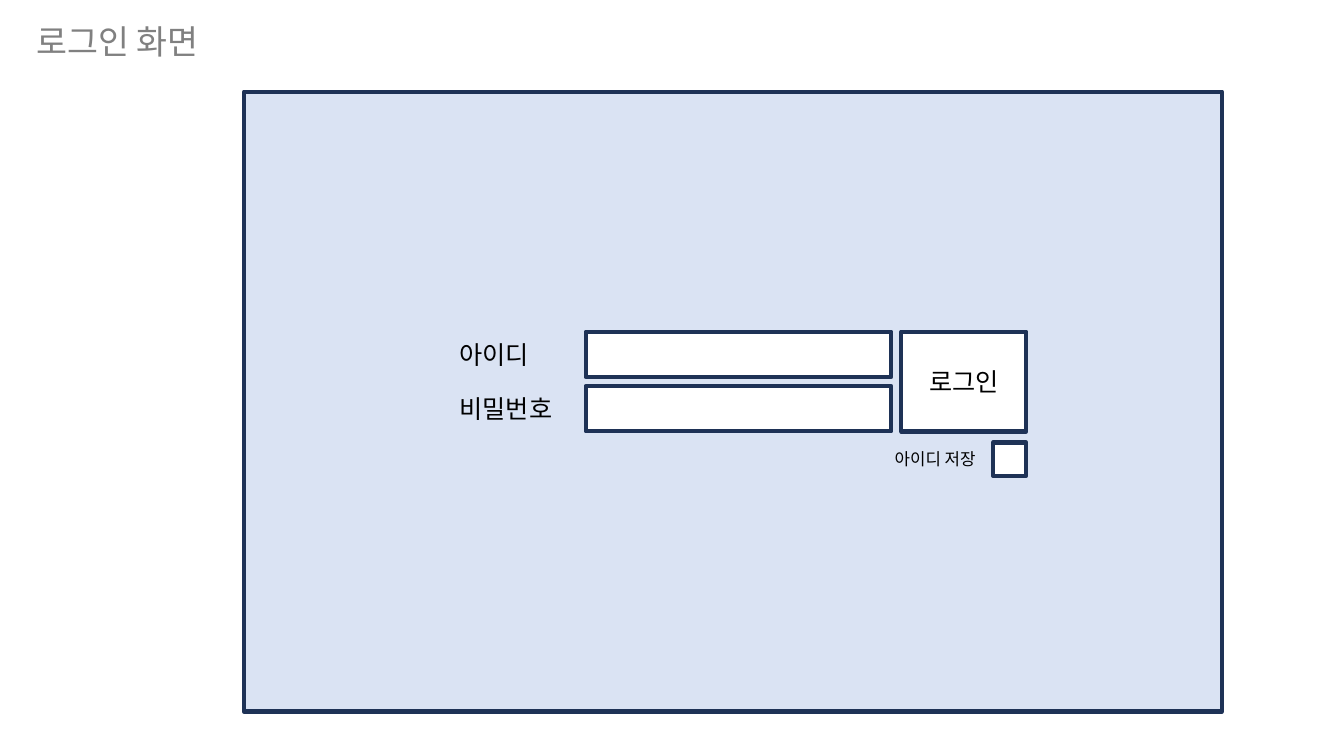
from lxml import etree
from pptx import Presentation
from pptx.dml.color import RGBColor
from pptx.enum.shapes import MSO_SHAPE
from pptx.enum.text import MSO_ANCHOR, MSO_AUTO_SIZE, PP_ALIGN
from pptx.oxml.ns import qn
from pptx.util import Emu, Pt

RECTANGLE = MSO_SHAPE.RECTANGLE
TOP, MIDDLE = MSO_ANCHOR.TOP, MSO_ANCHOR.MIDDLE
LEFT, CENTER = PP_ALIGN.LEFT, PP_ALIGN.CENTER
NO_AUTOFIT = MSO_AUTO_SIZE.NONE
TITLE_ONLY = 5

EMU_PER_PX = 9144
FONT = "Noto Sans CJK KR"
NAVY, PALE_BLUE, WHITE, BLACK, GRAY = "1E3256", "DAE3F3", "FFFFFF", "000000", "808080"

FORM_TOP = 329
ROW_HEIGHT = 45
ROW_STEP = 54
LABEL_LEFT, LABEL_WIDTH = 446, 124
FIELD_LEFT, FIELD_WIDTH = 581, 303
BUTTON_LEFT, BUTTON_WIDTH = 894, 124
CHECKBOX_SIZE = 33
CHECKBOX_TOP = 439
FIELD_LABELS = ["아이디", "비밀번호"]


def px(length):
    return Emu(length * EMU_PER_PX)


def color(hex_string):
    return RGBColor.from_string(hex_string)


def write_text(shape, text, size, text_color=BLACK, alignment=LEFT, anchor=MIDDLE):
    text_frame = shape.text_frame
    text_frame.text = text
    text_frame.word_wrap = True
    text_frame.auto_size = NO_AUTOFIT
    text_frame.vertical_anchor = anchor
    paragraph = text_frame.paragraphs[0]
    paragraph.alignment = alignment
    for run in paragraph.runs:
        run.font.name = FONT
        run.font.size = Pt(size)
        run.font.color.rgb = color(text_color)
        east_asian = etree.SubElement(run.font._element, qn("a:ea"))
        east_asian.set("typeface", FONT)


def add_title(slide, text, left, top, width, height):
    title = slide.shapes.title
    title.left, title.top = px(left), px(top)
    title.width, title.height = px(width), px(height)
    write_text(title, text, 24, GRAY, anchor=TOP)


def add_box(slide, left, top, width, height, fill=WHITE):
    box = slide.shapes.add_shape(RECTANGLE, px(left), px(top), px(width), px(height))
    box.shadow.inherit = False
    box.fill.solid()
    box.fill.fore_color.rgb = color(fill)
    box.line.color.rgb = color(NAVY)
    box.line.width = Pt(3)
    return box


def add_label(slide, text, left, top, width, height, size, alignment=LEFT):
    label = slide.shapes.add_textbox(px(left), px(top), px(width), px(height))
    write_text(label, text, size, alignment=alignment)


def main():
    presentation = Presentation()
    presentation.slide_width, presentation.slide_height = px(1333), px(750)
    slide = presentation.slides.add_slide(presentation.slide_layouts[TITLE_ONLY])

    add_title(slide, "로그인 화면", 26, 16, 466, 46)
    add_box(slide, 242, 91, 970, 615, PALE_BLUE)

    for row, text in enumerate(FIELD_LABELS):
        top = FORM_TOP + row * ROW_STEP
        add_label(slide, text, LABEL_LEFT, top, LABEL_WIDTH, ROW_HEIGHT, 18)
        add_box(slide, FIELD_LEFT, top, FIELD_WIDTH, ROW_HEIGHT)

    login_button = add_box(slide, BUTTON_LEFT, FORM_TOP, BUTTON_WIDTH, ROW_STEP + ROW_HEIGHT)
    write_text(login_button, "로그인", 18, alignment=CENTER)

    checkbox_left = BUTTON_LEFT + BUTTON_WIDTH - CHECKBOX_SIZE
    add_label(slide, "아이디 저장", checkbox_left - 115, CHECKBOX_TOP, 115, CHECKBOX_SIZE, 12, CENTER)
    add_box(slide, checkbox_left, CHECKBOX_TOP, CHECKBOX_SIZE, CHECKBOX_SIZE)

    presentation.save("out.pptx")


if __name__ == "__main__":
    main()
